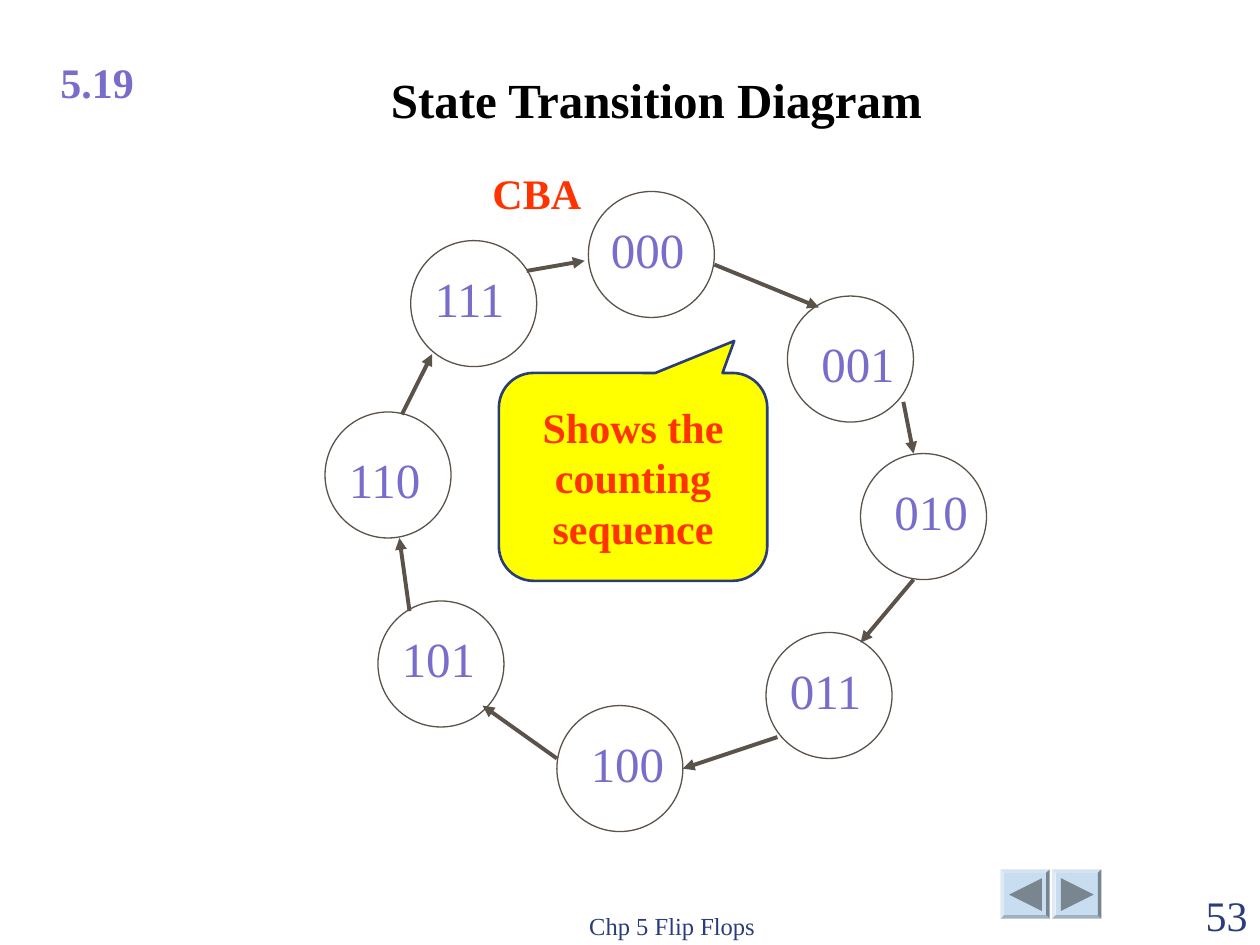
from lxml.etree import SubElement
from pptx import Presentation
from pptx.dml.color import RGBColor
from pptx.enum.shapes import MSO_CONNECTOR, MSO_SHAPE as Shape
from pptx.enum.text import MSO_ANCHOR as Anchor, PP_ALIGN as Align
from pptx.oxml.ns import qn
from pptx.util import Inches, Pt

FONT = "Times New Roman"
COLORS = {
    "title": "000000",
    "label": "786DCB",
    "accent": "FF3300",
    "outline": "5B5249",
    "navy": "2A3D7A",
    "callout": "FFFF00",
    "button": "C9DDF1",
    "button_arrow": "79858F",
}
STATES = [
    ("000", 4.67, 1.52, 0.08, 0.17),
    ("001", 6.25, 2.35, 0.17, 0.25),
    ("010", 6.83, 3.6, 0.17, 0.17),
    ("011", 6.08, 5.02, 0.09, 0.17),
    ("100", 4.42, 5.6, 0.17, 0.17),
    ("101", 3, 4.77, 0.09, 0.17),
    ("110", 2.58, 3.27, 0.09, 0.25),
    ("111", 3.26, 1.91, 0.09, 0.17),
]
TRANSITIONS = [
    (5.67, 2.1, 6.5, 2.44),
    (7.17, 3.19, 7.25, 3.6),
    (7.25, 4.6, 6.83, 5.1),
    (6.17, 5.85, 5.42, 6.1),
    (4.42, 6.02, 3.83, 5.6),
    (3.25, 4.85, 3.17, 4.27),
    (3.19, 3.29, 3.43, 2.81),
    (4.18, 2.15, 4.64, 2.07),
]


def color(name):
    """Return the named palette colour."""
    return RGBColor.from_string(COLORS[name])


def write(shape, text, size, color_name, bold=False, align=Align.LEFT, anchor=Anchor.TOP, wrap=True):
    """Put one formatted paragraph into a shape."""
    frame = shape.text_frame
    frame.text = text
    frame.word_wrap = wrap
    frame.vertical_anchor = anchor
    paragraph = frame.paragraphs[0]
    paragraph.alignment = align
    font = paragraph.font
    font.name, font.size, font.bold = FONT, Pt(size), bold
    font.color.rgb = color(color_name)


def add_text(shapes, box, text, size, color_name, **style):
    """Add a text box at the given left, top, width and height."""
    write(shapes.add_textbox(*map(Inches, box)), text, size, color_name, **style)


def add_shape(shapes, preset, box, fill=None, line=None, width=0.75):
    """Add a flat preset shape with optional fill and outline."""
    shape = shapes.add_shape(preset, *map(Inches, box))
    shape.shadow.inherit = False
    if fill:
        shape.fill.solid()
        shape.fill.fore_color.rgb = color(fill)
    else:
        shape.fill.background()
    if line:
        shape.line.color.rgb = color(line)
        shape.line.width = Pt(width)
    else:
        shape.line.fill.background()
    return shape


def add_state(slide, label, left, top, dx, dy):
    """Add a grouped state circle and its label."""
    shapes = slide.shapes.add_group_shape().shapes
    add_shape(shapes, Shape.OVAL, (left, top, 1, 1), line="outline")
    add_text(shapes, (left + dx, top + dy, 0.78, 0.57), label, 28, "label", wrap=False)


def add_transition(slide, points):
    """Add an arrow between two states."""
    arrow = slide.shapes.add_connector(MSO_CONNECTOR.STRAIGHT, *map(Inches, points))
    arrow.line.color.rgb = color("outline")
    arrow.line.width = Pt(2.25)
    SubElement(arrow.line._get_or_add_ln(), qn("a:tailEnd"), type="triangle")
    SubElement(arrow._element.spPr, qn("a:effectLst"))


def add_button(slide, left, arrow_left, rotation):
    """Add a bevelled navigation button with a triangle."""
    button = add_shape(slide.shapes, Shape.BEVEL, (left, 6.9, 0.39, 0.39), fill="button")
    button.adjustments[0] = 0.07
    box = (arrow_left, 6.97, 0.26, 0.26)
    arrow = add_shape(slide.shapes, Shape.ISOSCELES_TRIANGLE, box, fill="button_arrow")
    arrow.rotation = rotation


def add_callout(slide):
    """Add the speech bubble in the middle of the diagram."""
    box = (3.96, 2.96, 2.13, 1.65)
    callout = add_shape(slide.shapes, Shape.ROUNDED_RECTANGULAR_CALLOUT, box, "callout", "navy", 1.5)
    for index, value in enumerate((0.377, -0.654, 0.167)):
        callout.adjustments[index] = value
    write(callout, "Shows the counting sequence", 24, "accent", bold=True,
          align=Align.CENTER, anchor=Anchor.MIDDLE)


def add_title(slide, text):
    """Place and format the slide title."""
    title = slide.shapes.title
    title.left, title.top, title.width, title.height = map(Inches, (0.96, 0.4, 8.5, 0.67))
    write(title, text, 28, "title", bold=True, align=Align.CENTER, anchor=Anchor.BOTTOM)


def main():
    """Build and save the state transition slide."""
    presentation = Presentation()
    presentation.slide_width, presentation.slide_height = Inches(10), Inches(7.5)
    slide = presentation.slides.add_slide(presentation.slide_layouts[5])
    shapes = slide.shapes
    add_button(slide, 7.94, 8.01, 270)
    add_button(slide, 8.35, 8.42, 90)
    add_title(slide, "State Transition Diagram")
    for state in STATES:
        add_state(slide, *state)
    for points in TRANSITIONS:
        add_transition(slide, points)
    add_text(shapes, (3.81, 1.28, 0.95, 0.5), "CBA", 24, "accent", bold=True, wrap=False)
    add_text(shapes, (0.38, 0.4, 0.78, 0.5), "5.19", 24, "label", bold=True, wrap=False)
    add_callout(slide)
    add_text(shapes, (3.75, 7.01, 3.17, 0.5), "Chp 5 Flip Flops", 14, "navy",
             align=Align.CENTER, anchor=Anchor.BOTTOM)
    add_text(shapes, (9, 7.01, 1, 0.5), "53", 24, "navy", align=Align.RIGHT, anchor=Anchor.BOTTOM)
    presentation.save("out.pptx")


if __name__ == "__main__":
    main()
